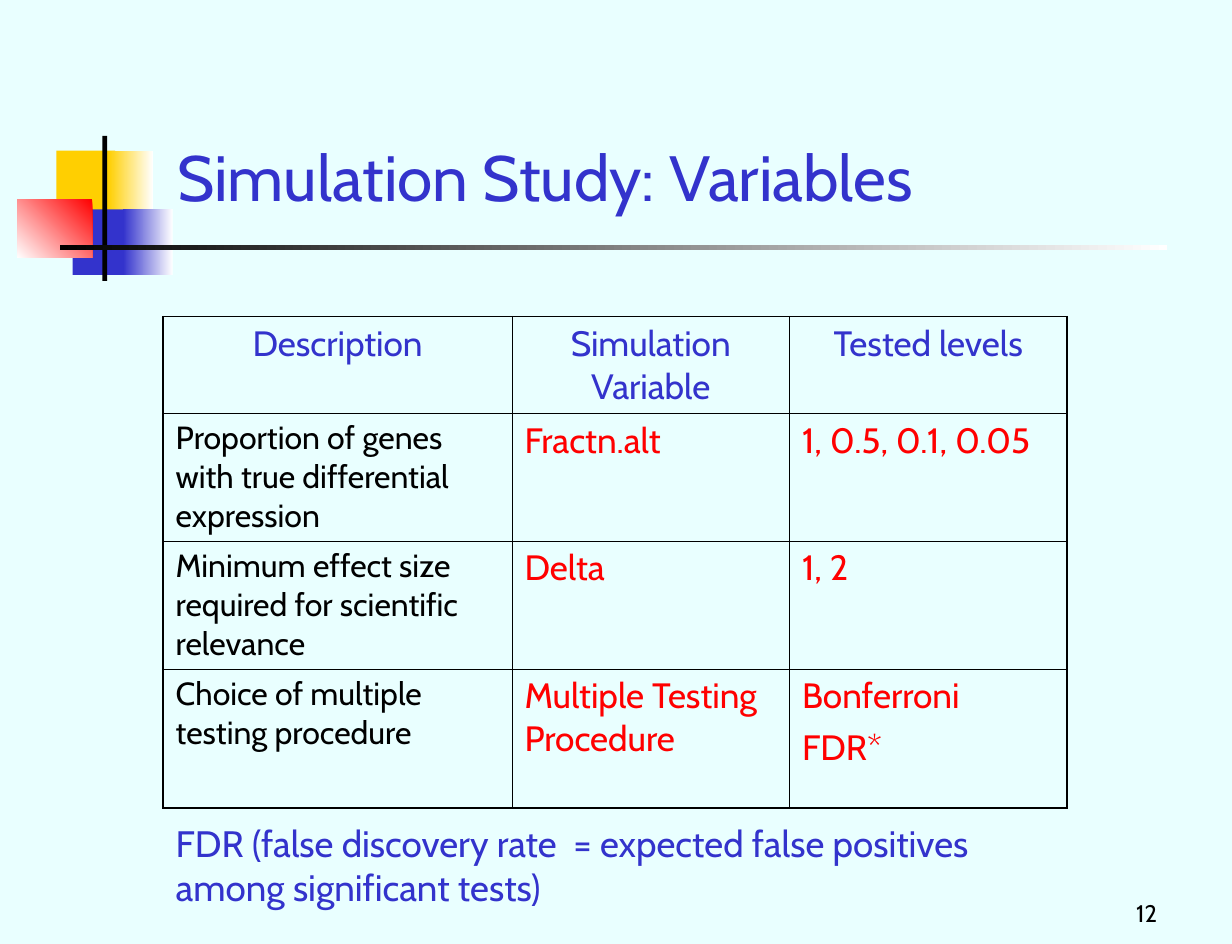
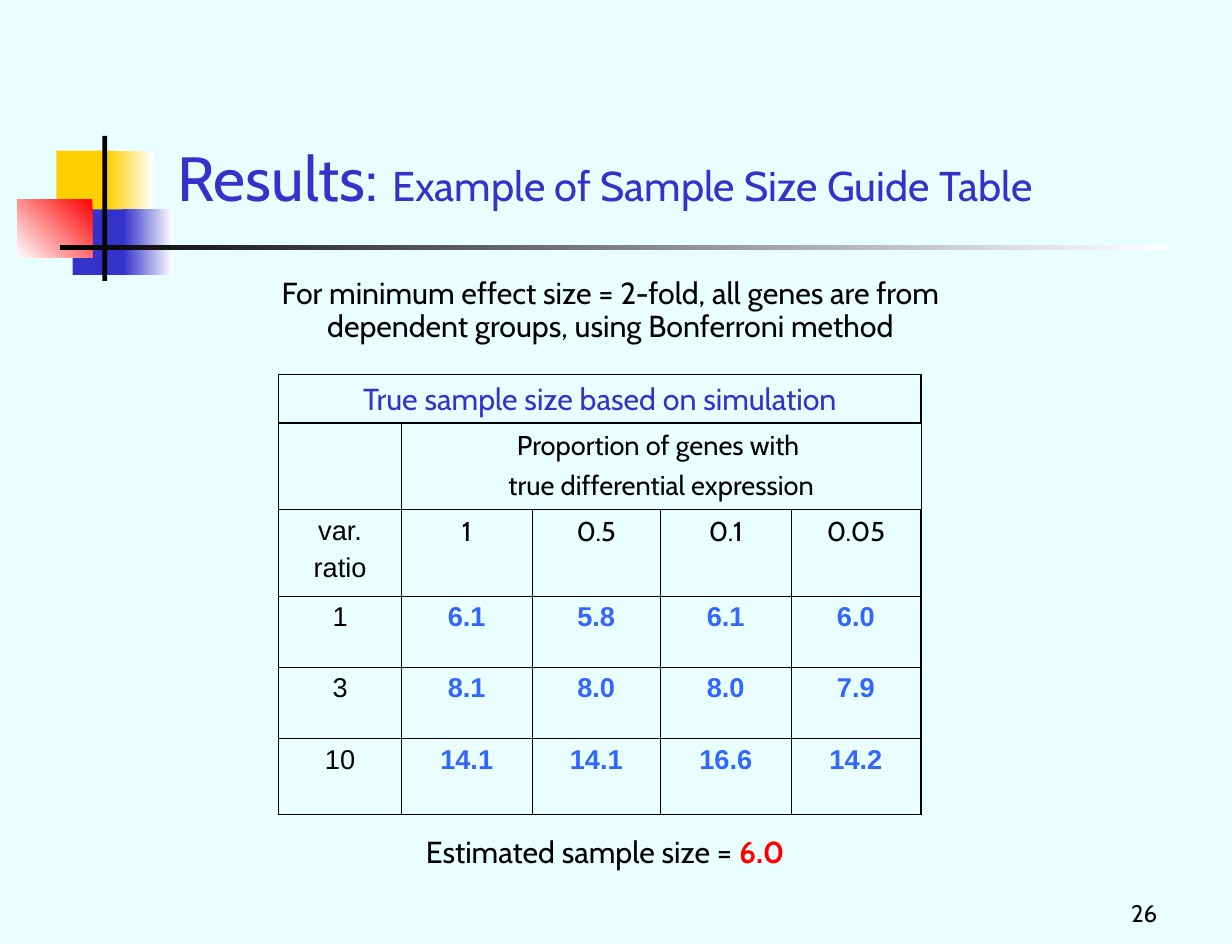
from lxml import etree
from pptx import Presentation
from pptx.dml.color import RGBColor
from pptx.enum import shapes, text
from pptx.oxml import ns
from pptx.util import Pt

COLORS = {
    "background": "E9FFFF",
    "black": "000000",
    "white": "FFFFFF",
    "gold": "FFCF01",
    "indigo": "3333CC",
    "red": "FF0000",
    "blue": "3366FF",
}
FONT = "Cabin"
LEFT, CENTER, RIGHT = text.PP_ALIGN.LEFT, text.PP_ALIGN.CENTER, text.PP_ALIGN.RIGHT
TOP, BOTTOM = text.MSO_ANCHOR.TOP, text.MSO_ANCHOR.BOTTOM
SIDE_MARGIN = Pt(7.9)
OUTER_BORDER, INNER_BORDER = Pt(1.08), Pt(0.45)

DECORATION = [
    (35.3, 94.3, 36.7, 41, ["gold"], None),
    (67.7, 94.3, 28, 41, ["white", "gold"], 180),
    (45.4, 131, 35.3, 41, ["indigo"], None),
    (77, 131, 31, 41, ["white", "indigo"], 180),
    (10.8, 124.6, 46.8, 36.7, ["red", "white"], 225),
    (64.1, 85, 2.9, 90.7, ["black"], None),
    (37.4, 153.4, 692.6, 2.9, ["white", "black"], 180),
]


def write(frame, content, size, color, align=LEFT, before=0, font=FONT, bold=False, anchor=TOP):
    frame.text = content
    frame.word_wrap = True
    frame.vertical_anchor = anchor
    frame.margin_left = frame.margin_right = SIDE_MARGIN
    for paragraph in frame.paragraphs:
        paragraph.alignment = align
        paragraph.space_before = Pt(before)
        for run in paragraph.runs:
            run.font.name = font
            run.font.size = Pt(size)
            run.font.bold = bold
            run.font.color.rgb = RGBColor.from_string(COLORS[color])


def add_grid(slide, left, top, widths, heights):
    rows, columns = len(heights), len(widths)
    table = slide.shapes.add_table(
        rows, columns, Pt(left), Pt(top), Pt(sum(widths)), Pt(sum(heights))
    ).table
    table.first_row = table.horz_banding = False
    for column, width in zip(table.columns, widths):
        column.width = Pt(width)
    for row, height in zip(table.rows, heights):
        row.height = Pt(height)
    for index, cell in enumerate(table.iter_cells()):
        row, column = divmod(index, columns)
        cell.margin_left = cell.margin_right = SIDE_MARGIN
        properties = cell._tc.get_or_add_tcPr()
        edges = {
            "L": column == 0,
            "R": column == columns - 1,
            "T": row == 0,
            "B": row == rows - 1,
        }
        for side, outer in edges.items():
            line = etree.SubElement(properties, ns.qn(f"a:ln{side}"))
            line.set("w", str(int(OUTER_BORDER if outer else INNER_BORDER)))
            fill = etree.SubElement(line, ns.qn("a:solidFill"))
            etree.SubElement(fill, ns.qn("a:srgbClr")).set("val", COLORS["black"])
        cell.fill.background()
    return table


presentation = Presentation()
presentation.slide_width = Pt(770.4)
presentation.slide_height = Pt(590.4)
background = presentation.slide_master.background.fill
background.solid()
background.fore_color.rgb = RGBColor.from_string(COLORS["background"])

slides = []
for title_text, title_size, title_width, number in [
    ("Simulation Study: Variables", 40, 610, "12"),
    ("Results: ", 39, 642, "26"),
]:
    slide = presentation.slides.add_slide(presentation.slide_layouts[6])
    for left, top, width, height, colors, angle in DECORATION:
        shape = slide.shapes.add_shape(
            shapes.MSO_SHAPE.RECTANGLE, Pt(left), Pt(top), Pt(width), Pt(height)
        )
        shape.shadow.inherit = False
        shape.line.fill.background()
        if angle is None:
            shape.fill.solid()
            shape.fill.fore_color.rgb = RGBColor.from_string(COLORS[colors[0]])
        else:
            shape.fill.gradient()
            shape.fill.gradient_angle = angle
            for stop, color in zip(shape.fill.gradient_stops, colors):
                stop.color.rgb = RGBColor.from_string(COLORS[color])
    title = slide.shapes.add_textbox(Pt(103), Pt(65.5), Pt(title_width), Pt(72))
    write(title.text_frame, title_text, title_size, "indigo", anchor=BOTTOM)
    page_number = slide.shapes.add_textbox(Pt(674), Pt(557.3), Pt(57.6), Pt(26))
    write(page_number.text_frame, number, 15, "black", RIGHT, anchor=BOTTOM)
    slides.append((slide, title))

slide, title = slides[0]
variables = [
    ("Description", "Simulation Variable", "Tested levels"),
    ("Proportion of genes with true differential expression", "Fractn.alt", "1, 0.5, 0.1, 0.05"),
    ("Minimum effect size required for scientific relevance", "Delta", "1, 2"),
    ("Choice of multiple testing procedure", "Multiple Testing Procedure", "Bonferroni\nFDR*"),
]
table = add_grid(slide, 102, 198, [218.2, 173.5, 173.5], [60.5, 80, 80, 87])
for row, values in enumerate(variables):
    for column, value in enumerate(values):
        frame = table.cell(row, column).text_frame
        if row == 0:
            write(frame, value, 22, "indigo", CENTER, 5.5)
        elif column == 0:
            write(frame, value, 20, "black", before=5)
        else:
            write(frame, value, 22, "red", before=5.5)

definition = slide.shapes.add_textbox(Pt(102), Pt(509.8), Pt(564), Pt(62.6))
write(
    definition.text_frame,
    "FDR (false discovery rate  = expected false positives among significant tests)",
    23, "indigo", before=14.4,
)

slide, title = slides[1]
run = title.text_frame.paragraphs[0].add_run()
run.text = "Example of Sample Size Guide Table"
run.font.name = FONT
run.font.size = Pt(26)
run.font.color.rgb = RGBColor.from_string(COLORS["indigo"])

condition = slide.shapes.add_textbox(Pt(128.2), Pt(170.6), Pt(507), Pt(49))
write(
    condition.text_frame,
    "For minimum effect size = 2-fold, all genes are from dependent groups, using Bonferroni method",
    19, "black", CENTER, 4.8,
)
condition.text_frame.paragraphs[0].line_spacing = 0.9

sample_sizes = [
    ("var.\nratio", "1", "0.5", "0.1", "0.05"),
    ("1", "6.1", "5.8", "6.1", "6.0"),
    ("3", "8.1", "8.0", "8.0", "7.9"),
    ("10", "14.1", "14.1", "16.6", "14.2"),
]
table = add_grid(slide, 174.2, 264.8, [77, 81.4, 80.6, 81.4, 81.4], [54, 54, 44.6, 44.6, 47.5])
table.cell(0, 1).merge(table.cell(0, 4))
write(
    table.cell(0, 1).text_frame,
    "Proportion of genes with \ntrue differential expression",
    17, "black", CENTER, 4.2,
)
for row, values in enumerate(sample_sizes, start=1):
    for column, value in enumerate(values):
        is_result = row > 1 and column > 0
        is_proportion = row == 1 and column > 0
        write(
            table.cell(row, column).text_frame, value, 17,
            "blue" if is_result else "black", CENTER, 4.2,
            font=FONT if is_proportion else "Arial", bold=is_result,
        )

estimate = slide.shapes.add_textbox(Pt(173.5), Pt(517.7), Pt(409.7), Pt(30.2))
write(estimate.text_frame, "Estimated sample size = ", 19, "black", CENTER, 11.9)
run = estimate.text_frame.paragraphs[0].add_run()
run.text = "6.0"
run.font.name = FONT
run.font.size = Pt(19)
run.font.bold = True
run.font.color.rgb = RGBColor.from_string(COLORS["red"])

caption = slide.shapes.add_shape(
    shapes.MSO_SHAPE.RECTANGLE, Pt(174.2), Pt(234), Pt(401.8), Pt(30.2)
)
caption.shadow.inherit = False
caption.fill.background()
caption.line.color.rgb = RGBColor.from_string(COLORS["black"])
caption.line.width = Pt(0.75)
write(caption.text_frame, "True sample size based on simulation", 19, "indigo", CENTER, 11.9)

presentation.save("out.pptx")
